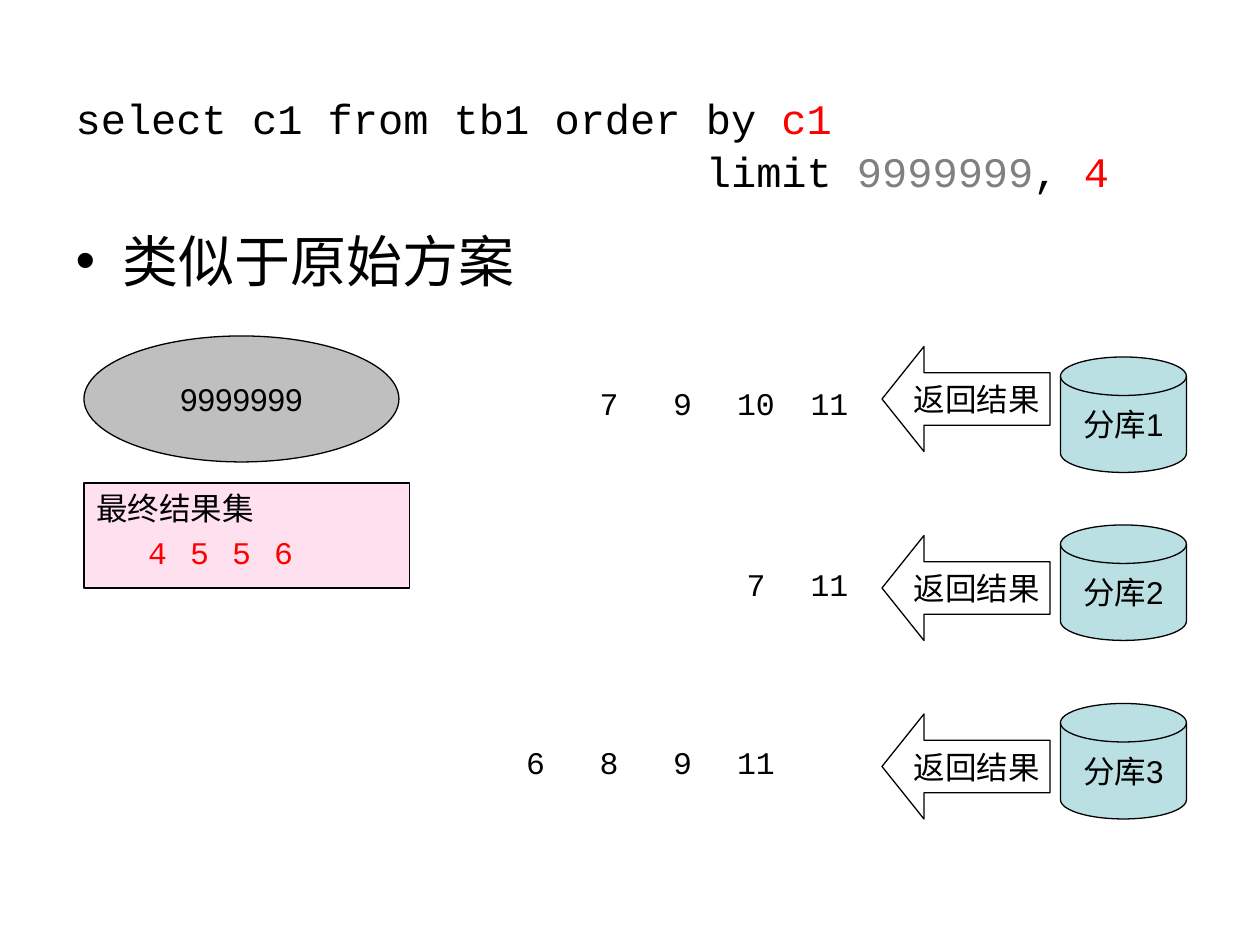
"""Build the slide that shows how shard results merge for a paged, ordered query."""
from dataclasses import dataclass

from lxml import etree
from pptx import Presentation
from pptx.dml.color import RGBColor
from pptx.enum.shapes import MSO_SHAPE
from pptx.enum.text import MSO_ANCHOR, MSO_AUTO_SIZE, PP_ALIGN
from pptx.oxml.ns import qn
from pptx.util import Inches, Pt

RECT, OVAL = MSO_SHAPE.RECTANGLE, MSO_SHAPE.OVAL
DISK, ARROW = MSO_SHAPE.FLOWCHART_MAGNETIC_DISK, MSO_SHAPE.LEFT_ARROW
LEFT, CENTER = PP_ALIGN.LEFT, PP_ALIGN.CENTER
TOP, MIDDLE = MSO_ANCHOR.TOP, MSO_ANCHOR.MIDDLE


@dataclass(frozen=True)
class Theme:
    """Colours, fonts and type sizes of the slide."""
    ink: str = "000000"
    accent: str = "FF0000"
    muted: str = "808080"
    shard: str = "BBE0E3"
    result: str = "FF99CC"
    sans: str = "Arial"
    mono: str = "Courier New"
    cjk: str = "Noto Sans CJK SC"
    body: int = 32
    code: int = 24
    label: int = 18


T = Theme()
UNITS_PER_INCH = 12
QUERY = [
    [("select c1 from tb1 order by ", T.ink), ("c1", T.accent)],
    [(" " * 25 + "limit ", T.ink), ("9999999", T.muted), (", ", T.ink), ("4", T.accent)],
]
POINT = "类似于原始方案"
SKIPPED = "9999999"
RESULT_LABEL, RESULT = "最终结果集", ["4", "5", "5", "6"]
ARROW_LABEL = "返回结果"
SHARDS = [
    {"name": "分库1", "disk": 34, "arrow": 33, "text": 36, "values": ["", "7", "9", "10", "11"]},
    {"name": "分库2", "disk": 50, "arrow": 51, "text": 53.2, "values": ["", "", "", "7", "11"]},
    {"name": "分库3", "disk": 67, "arrow": 68, "text": 70.2, "values": ["6", "8", "9", "11", ""]},
]


def grid(*units):
    """Turn grid units into lengths."""
    return [Inches(u / UNITS_PER_INCH) for u in units]


def place(shape, *units):
    """Move a placeholder to a grid box."""
    shape.left, shape.top, shape.width, shape.height = grid(*units)


def add_run(p, text, size, color=T.ink, font=T.sans):
    """Add one formatted run to a paragraph."""
    r = p.add_run()
    r.text = text
    r.font.size, r.font.name = Pt(size), font
    r.font.color.rgb = RGBColor.from_string(color)
    etree.SubElement(r.font._element, qn("a:ea"), typeface=T.cjk)


def add_figure(s, kind, box, text, fill=None, alpha=100, align=CENTER, anchor=MIDDLE):
    """Add an outlined, labelled shape."""
    sp = s.shapes.add_shape(kind, *grid(*box))
    sp.shadow.inherit = False
    sp.line.color.rgb, sp.line.width = RGBColor.from_string(T.ink), Pt(0.75)
    if fill:
        sp.fill.solid()
        sp.fill.fore_color.rgb = RGBColor.from_string(fill)
        if alpha < 100:
            color = sp.fill._xPr.find(".//" + qn("a:srgbClr"))
            etree.SubElement(color, qn("a:alpha"), val=str(alpha * 1000))
    else:
        sp.fill.background()
    tf = sp.text_frame
    tf.word_wrap, tf.vertical_anchor = False, anchor
    p = tf.paragraphs[0]
    p.alignment = align
    add_run(p, text, T.label)
    return sp


def add_values(s, values, left, top, pitch, color=T.ink):
    """Add a row of numbers at an even pitch, leaving empty columns blank."""
    for col, value in enumerate(values):
        if value:
            tf = s.shapes.add_textbox(*grid(left + col * pitch, top, 6, 4.8)).text_frame
            tf.word_wrap = True
            p = tf.paragraphs[0]
            p.alignment = CENTER
            add_run(p, value, T.label, color, T.mono)


def add_heading(s):
    """Fill the title with the query and the body with its one point."""
    title, body = s.shapes.title, s.placeholders[1]
    place(title, 6, 8, 109, 10.8)
    place(body, 6, 21, 108, 59.4)
    for sp in (title, body):
        sp.text_frame.auto_size = MSO_AUTO_SIZE.NONE
        sp.text_frame.vertical_anchor = TOP
    p = title.text_frame.paragraphs[0]
    p.alignment, p.line_spacing = LEFT, 1.05
    for i, line in enumerate(QUERY):
        if i:
            p.add_line_break()
        for text, color in line:
            add_run(p, text, T.code, color, T.mono)
    p = body.text_frame.paragraphs[0]
    p.space_before = Pt(0)
    add_run(p, POINT, T.body, font=T.cjk)


def main():
    """Assemble and save the slide."""
    prs = Presentation()
    prs.slide_width, prs.slide_height = Inches(10), Inches(7.5)
    s = prs.slides.add_slide(prs.slide_layouts[1])
    add_heading(s)
    add_figure(s, OVAL, (8, 32, 30, 12), SKIPPED, T.muted, 50)
    add_figure(s, RECT, (8, 46, 31, 10), RESULT_LABEL, T.result, 30, LEFT, TOP)
    add_values(s, RESULT, 12, 50.2, 4, T.accent)
    for shard in SHARDS:
        add_figure(s, DISK, (101, shard["disk"], 12, 11), shard["name"], T.shard)
        arrow = add_figure(s, ARROW, (84, shard["arrow"], 16, 10), ARROW_LABEL)
        arrow.adjustments[0], arrow.adjustments[1] = 0.5, 0.4
        add_values(s, shard["values"], 48, shard["text"], 7)
    prs.save("out.pptx")


if __name__ == "__main__":
    main()
